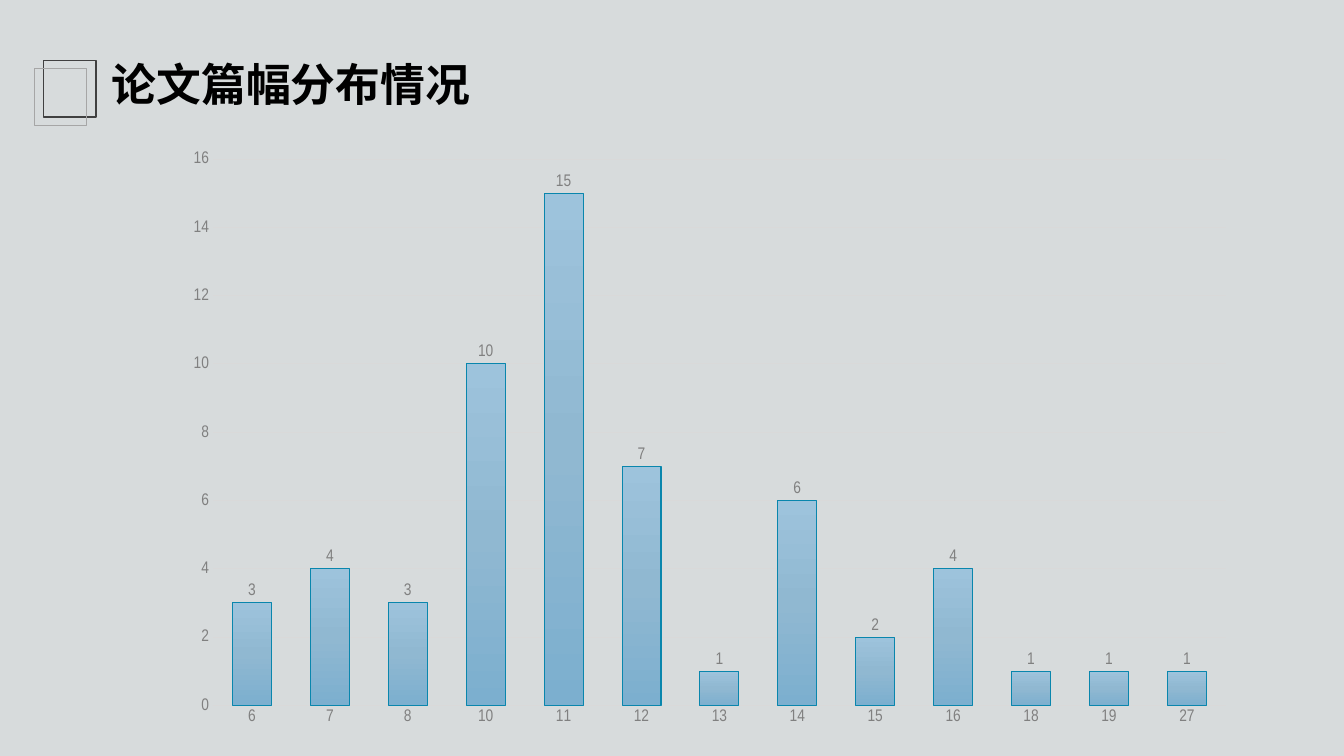
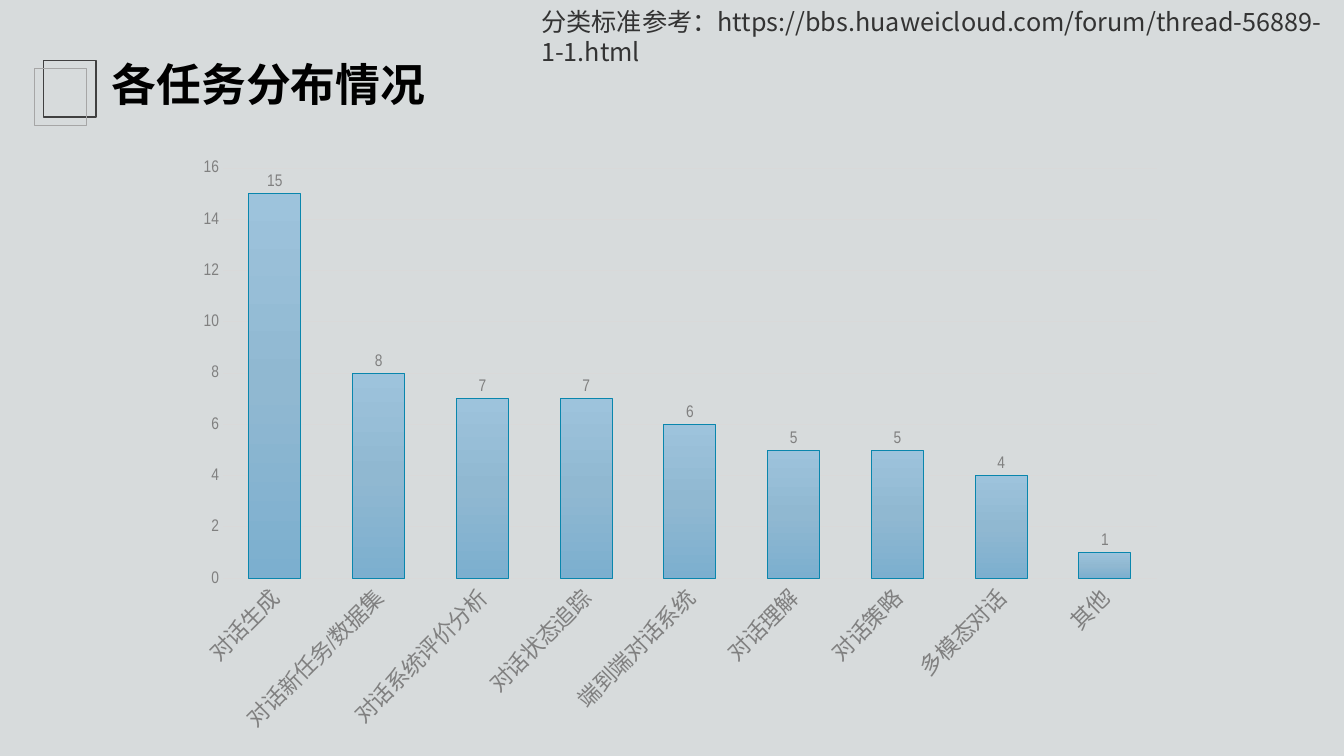
from copy import deepcopy
from dataclasses import dataclass

from pptx import Presentation, util as u
from pptx.chart import data as chart_data
from pptx.dml import color
from pptx.enum import chart as ch, shapes, text
from pptx.oxml import ns
from lxml import etree


@dataclass(frozen=True)
class Theme:
    ground: str = "D7DBDC"
    title: str = "000000"
    note: str = "333333"
    label: str = "808080"
    rule: str = "D9D9D9"
    frames: tuple = ("404040", "A6A6A6")
    bar: tuple = ("9DC3DC", "90B8D1", "7CAFCF")
    bar_edge: str = "0986AD"
    font: str = "Arial Narrow"
    cjk_font: str = "Noto Sans CJK JP"
    title_size: int = 32
    note_size: int = 18
    label_size: int = 12
    task_size: int = 16


def rgb(value):
    return color.RGBColor.from_string(value)


def assign(target, values):
    for name, value in values.items():
        setattr(target, name, value)


def bounds(left, top, width, height):
    return dict(left=u.Pt(left), top=u.Pt(top), width=u.Pt(width), height=u.Pt(height))


class SlideBuilder:
    """Holds the theme and the current slide, and draws each kind of element."""

    def __init__(self, deck, theme):
        self.deck, self.theme = deck, theme
        assign(deck, dict(slide_width=u.Pt(960), slide_height=u.Pt(540)))
        ground = deck.slide_master.background.fill
        ground.solid()
        ground.fore_color.rgb = rgb(theme.ground)

    def start(self, title):
        self.slide = self.deck.slides.add_slide(self.deck.slide_layouts[5])
        self.frame(31, 43, self.theme.frames[0])
        self.frame(24.5, 49, self.theme.frames[1])
        box = self.slide.shapes.title
        assign(box, bounds(72.5, 36.5, 401, 46))
        self.set_text(box, title, self.theme.title_size, self.theme.title, self.theme.font, True)
        box.text_frame.vertical_anchor = text.MSO_ANCHOR.MIDDLE

    def frame(self, left, top, line):
        box = self.slide.shapes.add_shape(
            shapes.MSO_SHAPE.RECTANGLE, **bounds(left, top, 37.5, 40.5))
        box.shadow.inherit = False
        box.fill.background()
        self.outline(box.line, line, 1)

    def outline(self, line, value, width=0.75):
        line.color.rgb = rgb(value)
        line.width = u.Pt(width)

    def style(self, font, size, value, name, bold=False):
        assign(font, dict(size=u.Pt(size), name=name, bold=bold))
        font.color.rgb = rgb(value)

    def set_text(self, box, words, size, value, name, bold=False):
        assign(box.text_frame, dict(word_wrap=True, auto_size=text.MSO_AUTO_SIZE.NONE))
        para = box.text_frame.paragraphs[0]
        para.alignment = text.PP_ALIGN.LEFT
        span = para.add_run()
        span.text = words
        self.style(span.font, size, value, name, bold)
        east = etree.SubElement(span.font._element, ns.qn("a:ea"))
        east.set("typeface", self.theme.cjk_font)

    def note(self, words, left, top, width, height):
        box = self.slide.shapes.add_textbox(**bounds(left, top, width, height))
        self.set_text(box, words, self.theme.note_size, self.theme.note, self.theme.cjk_font)

    def gradient(self, fill):
        fill.gradient()
        fill.gradient_angle = 270
        first = fill.gradient_stops[0]._gs
        first.addnext(deepcopy(first))
        for index, stop in enumerate(fill.gradient_stops):
            stop.position = index / 2
            stop.color.rgb = rgb(self.theme.bar[index])

    def columns(self, counts, place, category_size, rotation=0):
        theme = self.theme
        source = chart_data.CategoryChartData(number_format="0")
        source.categories = list(counts)
        source.add_series("Series 1", list(counts.values()))
        left, top, width, height = map(u.Pt, place)
        chart = self.slide.shapes.add_chart(
            ch.XL_CHART_TYPE.COLUMN_CLUSTERED, left, top, width, height, source).chart
        assign(chart, dict(has_legend=False, has_title=False))
        self.style(chart.font, theme.label_size, theme.label, theme.font)

        categories, values = chart.category_axis, chart.value_axis
        for axis, size in ((categories, category_size), (values, theme.label_size)):
            assign(axis, dict(major_tick_mark=ch.XL_TICK_MARK.NONE,
                              minor_tick_mark=ch.XL_TICK_MARK.NONE))
            self.style(axis.tick_labels.font, size, theme.label, theme.font)
        self.outline(categories.format.line, theme.rule)
        if rotation:
            body = categories._element.find(ns.qn("c:txPr")).find(ns.qn("a:bodyPr"))
            body.set("rot", str(rotation * 60000))
            body.set("vert", "horz")
        assign(values, dict(minimum_scale=0, maximum_scale=16, major_unit=2,
                            has_major_gridlines=True))
        values.format.line.fill.background()
        self.outline(values.major_gridlines.format.line, theme.rule)

        plot = chart.plots[0]
        assign(plot, dict(gap_width=100, overlap=-24, vary_by_categories=False,
                          has_data_labels=True))
        assign(plot.data_labels, dict(show_value=True,
                                      position=ch.XL_LABEL_POSITION.OUTSIDE_END))
        self.style(plot.data_labels.font, theme.label_size, theme.label, theme.font)
        bars = plot.series[0].format
        self.gradient(bars.fill)
        self.outline(bars.line, theme.bar_edge)


def main():
    deck, theme = Presentation(), Theme()
    builder = SlideBuilder(deck, theme)

    builder.start("论文篇幅分布情况")
    pages = {"6": 3, "7": 4, "8": 3, "10": 10, "11": 15, "12": 7, "13": 1,
             "14": 6, "15": 2, "16": 4, "18": 1, "19": 1, "27": 1}
    builder.columns(pages, (123, 99.5, 768, 427), theme.label_size)

    builder.start("各任务分布情况")
    builder.note("分类标准参考：https://bbs.huaweicloud.com/forum/thread-56889-1-1.html",
                 379.5, 1, 580.5, 50)
    tasks = {"对话生成": 15, "对话新任务/数据集": 8, "对话系统评价分析": 7,
             "对话状态追踪": 7, "端到端对话系统": 6, "对话理解": 5,
             "对话策略": 5, "多模态对话": 4, "其他": 1}
    builder.columns(tasks, (129.5, 106, 711, 426), theme.task_size, rotation=-45)

    deck.save("out.pptx")


if __name__ == "__main__":
    main()
